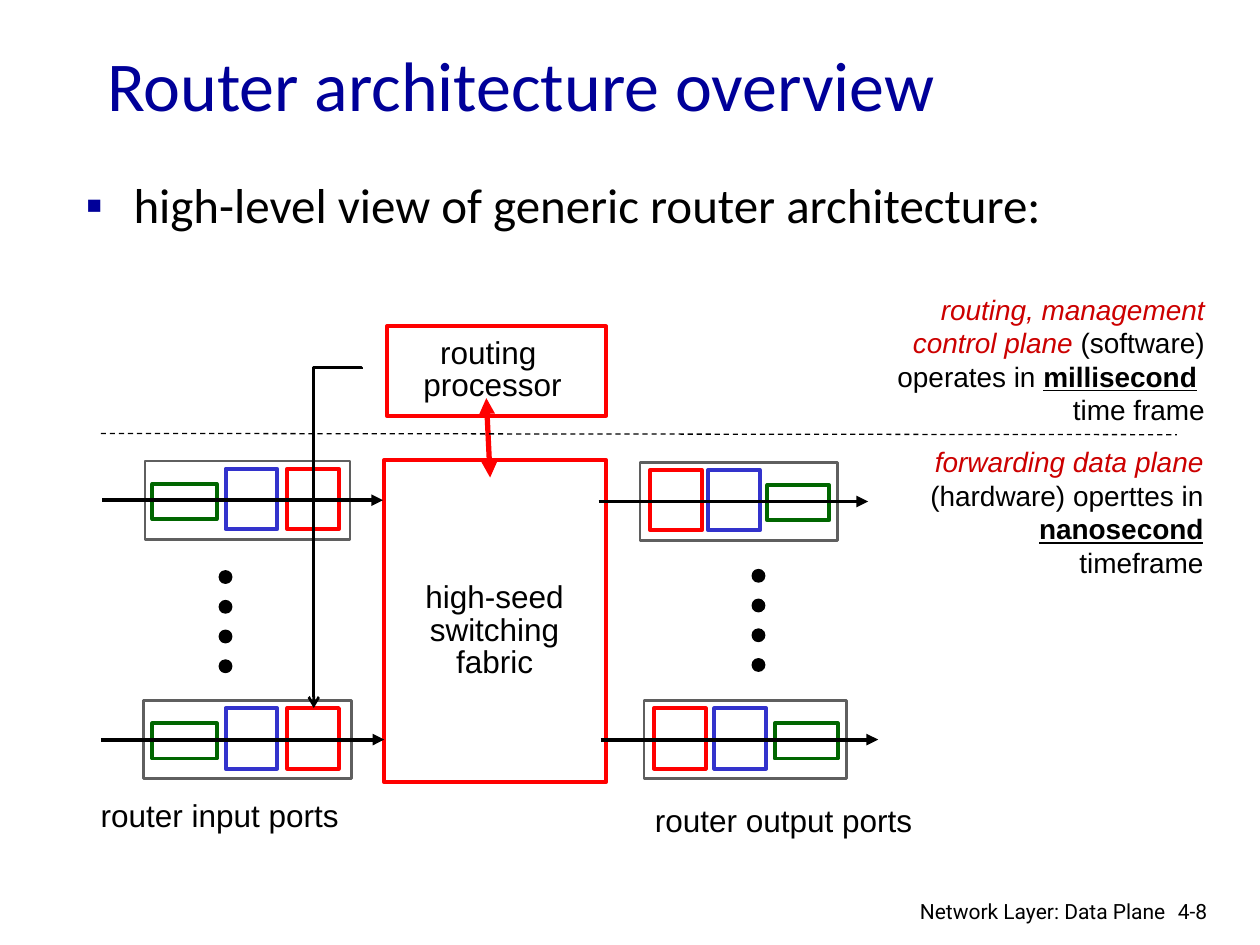
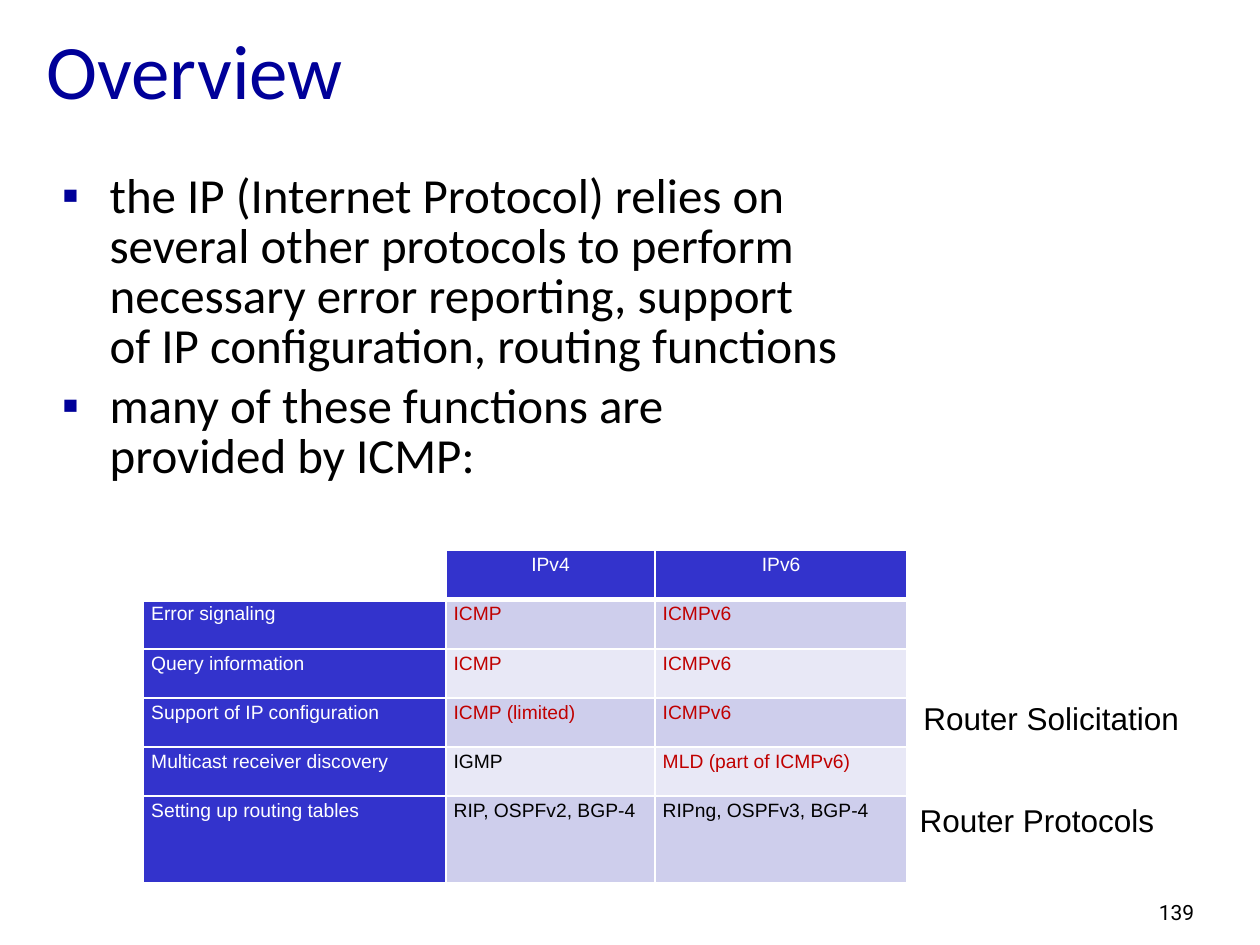
from dataclasses import dataclass
from typing import Any

from lxml import etree
from pptx import Presentation
from pptx import util as u
from pptx.dml import color as clr
from pptx.enum import dml, shapes, text
from pptx.oxml import ns

BLACK, WHITE, RED, GREY = "000000", "FFFFFF", "FF0000", "5F5F5F"
NAVY, BLUE, GREEN = "000099", "3333CC", "006600"
CRIMSON, BRICK = "CC0000", "C00000"
BANDS = ("CECEEC", "E8E8F6")
LEFT, MID, RIGHT = text.PP_ALIGN.LEFT, text.PP_ALIGN.CENTER, text.PP_ALIGN.RIGHT
STRONG = {"bold": True, "underline": True}
TIGHT = {"alignment": MID, "line_spacing": 0.85}
FOOT = {"name": "Roboto", "size": u.Pt(12)}
NOTE = {"size": u.Pt(16)}


@dataclass
class Run:
    words: str
    tint: str = BLACK
    look: dict | None = None


@dataclass
class Label:
    spot: tuple
    paras: list
    form: dict | None = None
    font: dict | None = None
    wrap: bool = False


@dataclass
class Box:
    spot: tuple
    edge: str
    fill: str = WHITE
    width: float = 2.25
    kind: Any = shapes.MSO_SHAPE.RECTANGLE


@dataclass
class Line:
    start: tuple
    end: tuple
    tint: str = BLACK
    width: float = 2.25
    head: str = ""
    tail: str = ""
    dash: bool = False
    kind: Any = shapes.MSO_CONNECTOR.STRAIGHT


@dataclass
class Port:
    left: float
    top: float
    wide: float
    green: tuple
    blue: float
    red: float
    start: float
    end: float


def shade(code: str) -> clr.RGBColor:
    return clr.RGBColor.from_string(code)


def put(item, vals: dict) -> None:
    for key, val in vals.items():
        setattr(item, key, val)


def place(item, spot: tuple) -> None:
    put(item, dict(zip(("left", "top", "width", "height"), map(u.Inches, spot))))


def add_tag(base, tag: str, **vals):
    item = etree.SubElement(base, ns.qn(tag))
    for key, val in vals.items():
        item.set(key, val)
    return item


def write(para, runs: list, form: dict, font: dict) -> None:
    put(para, form)
    for run in runs:
        part = para.add_run()
        part.text = run.words
        put(part.font, {"name": "Arial", "size": u.Pt(18), **font, **(run.look or {})})
        part.font.color.rgb = shade(run.tint)


def add_label(slide, label: Label) -> None:
    frame = slide.shapes.add_textbox(*map(u.Inches, label.spot)).text_frame
    frame.word_wrap = label.wrap
    for i, runs in enumerate(label.paras):
        para = frame.add_paragraph() if i else frame.paragraphs[0]
        write(para, runs, label.form or {}, label.font or {})


def add_box(slide, box: Box) -> None:
    shape = slide.shapes.add_shape(box.kind, *map(u.Inches, box.spot))
    shape.shadow.inherit = False
    shape.fill.solid()
    shape.fill.fore_color.rgb = shade(box.fill)
    shape.line.color.rgb = shade(box.edge)
    shape.line.width = u.Pt(box.width)


def add_line(slide, line: Line):
    ends = map(u.Inches, line.start + line.end)
    link = slide.shapes.add_connector(line.kind, *ends)
    link.line.color.rgb = shade(line.tint)
    link.line.width = u.Pt(line.width)
    if line.dash:
        link.line.dash_style = dml.MSO_LINE.DASH
    props = link._element.spPr
    stroke = props.find(ns.qn("a:ln"))
    for tag, tip in (("a:headEnd", line.head), ("a:tailEnd", line.tail)):
        if tip:
            add_tag(stroke, tag, type=tip)
    add_tag(props, "a:effectLst")
    return link


def add_bend(slide) -> None:
    link = add_line(slide, Line((1.33, 4.08), (4.03, 4.46), width=1.5, tail="arrow",
                                kind=shapes.MSO_CONNECTOR.ELBOW))
    props = link._element.spPr
    props.find(ns.qn("a:xfrm")).set("rot", "5400000")
    shape = props.find(ns.qn("a:prstGeom"))
    for old in list(shape):
        shape.remove(old)
    add_tag(add_tag(shape, "a:avLst"), "a:gd", name="adj1", fmla="val -100")


def add_port(slide, port: Port) -> None:
    add_box(slide, Box((port.left, port.top, port.wide, 0.62), GREY, width=1.5))
    x, wide = port.green
    add_box(slide, Box((x, port.top + 0.18, wide, 0.28), GREEN))
    for x, edge in ((port.blue, BLUE), (port.red, RED)):
        add_box(slide, Box((x, port.top + 0.06, 0.41, 0.48), edge))
    y = port.top + 0.31
    add_line(slide, Line((port.start, y), (port.end, y), tail="triangle"))


def add_dots(slide, left: float, top: float) -> None:
    for i in range(4):
        spot = (left, top + i * 0.236, 0.1, 0.1)
        add_box(slide, Box(spot, BLACK, BLACK, 0.75, shapes.MSO_SHAPE.OVAL))


def new_slide(deck, title: str, size: int, head: tuple, items: list, body: tuple):
    slide = deck.slides.add_slide(deck.slide_layouts[1])
    top, main = slide.placeholders
    for item, spot, hold in ((top, head, text.MSO_ANCHOR.MIDDLE),
                             (main, body, text.MSO_ANCHOR.TOP)):
        place(item, spot)
        put(item.text_frame, {"auto_size": text.MSO_AUTO_SIZE.NONE,
                              "vertical_anchor": hold, "word_wrap": True})
    write(top.text_frame.paragraphs[0], [Run(title, NAVY)], {"alignment": LEFT},
          {"name": "Calibri", "size": u.Pt(size)})
    frame = main.text_frame
    for i, item in enumerate(items):
        para = frame.add_paragraph() if i else frame.paragraphs[0]
        props = para._p.get_or_add_pPr()
        props.set("marL", str(u.Inches(0.38)))
        props.set("indent", str(-u.Inches(0.38)))
        add_tag(add_tag(props, "a:buClr"), "a:srgbClr", val=NAVY)
        add_tag(props, "a:buFont", typeface="Arial")
        add_tag(props, "a:buChar", char="▪")
        form = {"line_spacing": 0.85, "space_before": u.Pt(5.6 if i else 0)}
        write(para, [Run(item)], form, {"name": "Calibri", "size": u.Pt(28)})
    return slide


def add_grid(slide, rows: list, spot: tuple, cols: list, highs: list) -> None:
    grid = slide.shapes.add_table(len(rows), len(cols), *map(u.Inches, spot)).table
    put(grid, {"first_row": False, "horz_banding": False})
    for col, wide in zip(grid.columns, cols):
        col.width = u.Inches(wide)
    for row, high in zip(grid.rows, highs):
        row.height = u.Inches(high)
    for r, row in enumerate(rows):
        for c, words in enumerate(row):
            if r == 0 or c == 0:
                fill, tint = (BLUE if words else WHITE), WHITE
            else:
                fill, tint = BANDS[(r - 1) % 2], (BRICK if "ICMP" in words else BLACK)
            cell = grid.cell(r, c)
            put(cell, {"margin_left": u.Inches(0.06), "margin_right": u.Inches(0.06),
                       "margin_top": u.Inches(0.03), "margin_bottom": u.Inches(0.03)})
            cell.fill.solid()
            cell.fill.fore_color.rgb = shade(fill)
            if words:
                write(cell.text_frame.paragraphs[0], [Run(words, tint)],
                      {"alignment": LEFT if r else MID}, {"size": u.Pt(11)})
            props = cell._tc.get_or_add_tcPr()
            for i, side in enumerate("LRTB"):
                thick = 3 if r == 0 and side == "B" else 1
                edge = add_tag(props, f"a:ln{side}", w=str(u.Pt(thick)))
                add_tag(add_tag(edge, "a:solidFill"), "a:srgbClr", val=WHITE)
                props.insert(i, edge)


def draw_router(deck) -> None:
    slide = new_slide(deck, "Router architecture overview", 40, (0.75, 0.33, 8.5, 0.67),
                      ["high-level view of generic router architecture:"],
                      (0.58, 1.41, 8.5, 0.64))
    add_box(slide, Box((3.05, 3.65, 1.76, 2.56), RED))
    add_box(slide, Box((3.07, 2.59, 1.74, 0.71), RED))
    add_line(slide, Line((3.86, 3.16), (3.89, 3.79), RED, 3, "triangle", "triangle"))
    for port in (
        Port(1.15, 3.66, 1.63, (1.21, 0.51), 1.79, 2.28, 0.81, 3.04),
        Port(1.14, 5.56, 1.65, (1.21, 0.51), 1.79, 2.28, 0.8, 3.05),
        Port(5.08, 3.67, 1.57, (6.09, 0.49), 5.62, 5.16, 4.75, 6.89),
        Port(5.11, 5.56, 1.61, (6.15, 0.5), 5.67, 5.19, 4.77, 6.97),
    ):
        add_port(slide, port)
    add_dots(slide, 1.74, 4.53)
    add_dots(slide, 5.97, 4.52)
    add_line(slide, Line((0.8, 3.44), (9.34, 3.45), width=0.75, dash=True))
    add_bend(slide)
    slant = {"italic": True}
    for label in (
        Label((3.25, 4.58, 1.35, 0.88),
              [[Run("high-seed ")], [Run("switching")], [Run("fabric")]], TIGHT),
        Label((3.26, 2.64, 1.3, 0.61), [[Run("routing ")], [Run("processor")]], TIGHT),
        Label((0.7, 6.27, 2.09, 0.4), [[Run("router input ports")]]),
        Label((5.1, 6.31, 2.24, 0.4), [[Run("router output ports")]]),
        Label((7.26, 3.48, 2.39, 1.18),
              [[Run("forwarding data plane ", CRIMSON, slant),
                Run("(hardware) operttes in "),
                Run("nanosecond", look=STRONG), Run(" timeframe")]],
              {"alignment": RIGHT}, NOTE, True),
        Label((6.51, 2.27, 3.15, 1.18),
              [[Run("routing, management", CRIMSON, slant)],
               [Run("control plane ", CRIMSON, slant), Run("(software)")],
               [Run("operates in "), Run("millisecond", look=STRONG), Run(" ")],
               [Run("time frame")]],
              {"alignment": RIGHT}, NOTE, True),
        Label((9.25, 7.08, 0.61, 0.3), [[Run("4-8")]], font=FOOT, wrap=True),
        Label((6.97, 7.08, 2.38, 0.26), [[Run("Network Layer: Data Plane")]],
              {"alignment": RIGHT}, FOOT, True),
    ):
        add_label(slide, label)


def draw_table(deck) -> None:
    slide = new_slide(
        deck, "Overview", 44, (0.27, 0.32, 6.38, 0.45),
        ["the IP (Internet Protocol) relies on several other protocols to perform "
         "necessary error reporting, support of IP configuration, routing functions",
         "many of these functions are provided by ICMP:"],
        (0.39, 1.33, 6.38, 2.78))
    rows = [
        ("", "IPv4", "IPv6"),
        ("Error signaling", "ICMP", "ICMPv6"),
        ("Query information", "ICMP", "ICMPv6"),
        ("Support of IP configuration", "ICMP (limited)", "ICMPv6"),
        ("Multicast receiver discovery", "IGMP", "MLD (part of ICMPv6)"),
        ("Setting up routing tables", "RIP, OSPFv2, BGP-4", "RIPng, OSPFv3, BGP-4"),
    ]
    add_grid(slide, rows, (1.14, 4.37, 6.06, 2.66), [2.4, 1.66, 2], [0.39] * 5 + [0.69])
    for label in (
        Label((9.1, 7.09, 0.74, 0.3), [[Run("139")]], font=FOOT, wrap=True),
        Label((7.23, 5.5, 2.25, 0.4), [[Run("Router Solicitation")]]),
        Label((7.2, 6.31, 2.08, 0.4), [[Run("Router Protocols")]]),
    ):
        add_label(slide, label)


def main() -> None:
    deck = Presentation()
    put(deck, {"slide_width": u.Inches(10), "slide_height": u.Inches(7.5)})
    draw_router(deck)
    draw_table(deck)
    deck.save("out.pptx")


if __name__ == "__main__":
    main()
